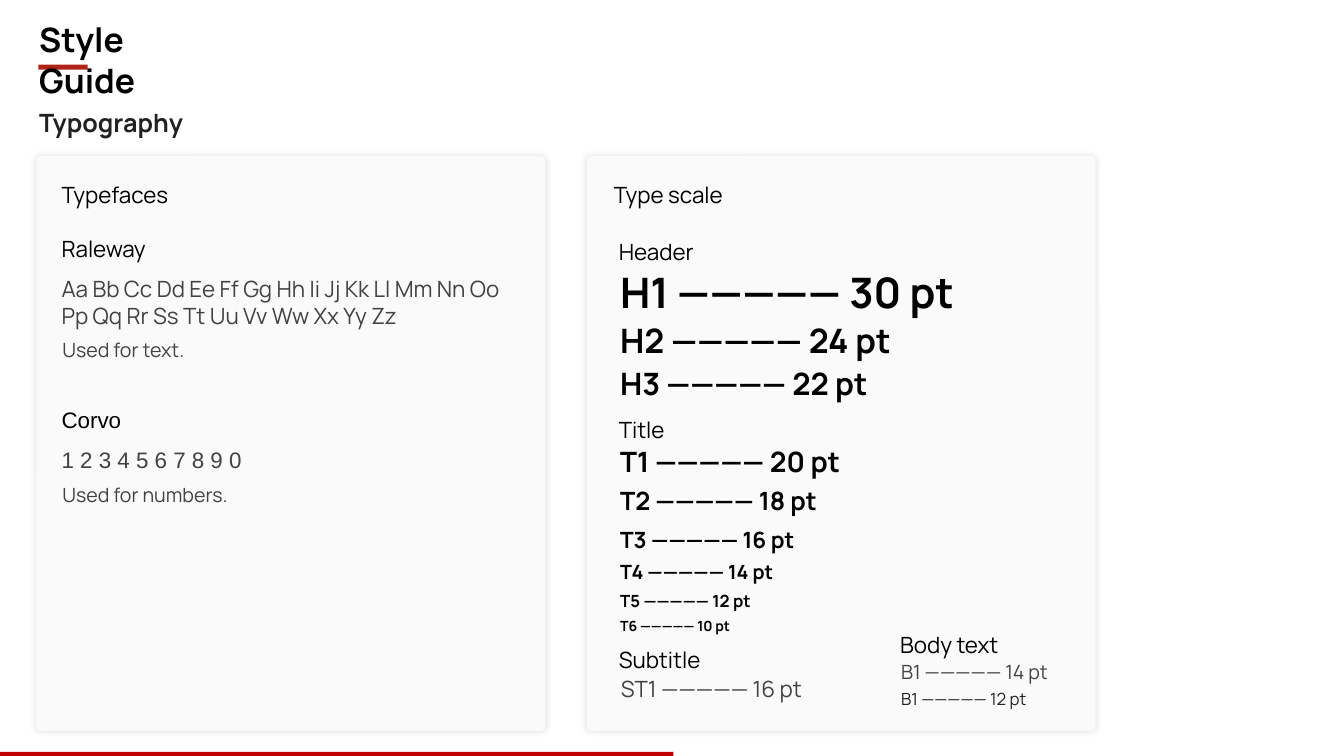
from lxml.etree import SubElement
from pptx import Presentation
from pptx.dml.color import RGBColor
from pptx.enum.shapes import MSO_SHAPE
from pptx.oxml.ns import qn
from pptx.util import Pt

BLACK = RGBColor(0x00, 0x00, 0x00)
CHARCOAL = RGBColor(0x21, 0x21, 0x21)
GRAY = RGBColor(0x42, 0x42, 0x42)
PANEL = RGBColor(0xFA, 0xFA, 0xFA)
BRICK = RGBColor(0xB0, 0x24, 0x18)
RED = RGBColor(0xC0, 0x00, 0x00)

presentation = Presentation()
presentation.slide_width = Pt(960)
presentation.slide_height = Pt(540)
slide = presentation.slides.add_slide(presentation.slide_layouts[6])


def add_block(kind, left, top, width, height, color):
    block = slide.shapes.add_shape(kind, Pt(left), Pt(top), Pt(width), Pt(height))
    block.shadow.inherit = False
    block.fill.solid()
    block.fill.fore_color.rgb = color
    block.line.fill.background()
    return block


def add_label(text, left, top, width, size, color=BLACK, bold=False, font="Manrope"):
    label = slide.shapes.add_textbox(Pt(left), Pt(top), Pt(width), Pt(size * 1.17))
    frame = label.text_frame
    frame.word_wrap = True
    frame.margin_left = frame.margin_right = 0
    frame.margin_top = frame.margin_bottom = 0
    paragraph = frame.paragraphs[0]
    paragraph.text = text
    paragraph.font.name = font
    paragraph.font.size = Pt(size)
    paragraph.font.bold = bold
    paragraph.font.color.rgb = color


for panel_left in (419, 25.9):
    panel = add_block(MSO_SHAPE.ROUNDED_RECTANGLE, panel_left, 111.6, 363.6, 410.4, PANEL)
    panel.adjustments[0] = 0.008
    effects = panel._element.spPr.find(qn("a:effectLst"))
    glow = SubElement(effects, qn("a:outerShdw"), blurRad=str(Pt(5)), dist="0",
                      dir="5400000", algn="t", rotWithShape="0")
    glow_color = SubElement(glow, qn("a:srgbClr"), val="000000")
    SubElement(glow_color, qn("a:alpha"), val="13000")

add_block(MSO_SHAPE.RECTANGLE, 27.4, 46.1, 35.3, 3.6, BRICK)
add_block(MSO_SHAPE.RECTANGLE, 0, 537.1, 481, 2.9, RED)

add_label("Style Guide", 28, 13.7, 120, 24, bold=True)
add_label("Typography", 28, 76.3, 120, 18, CHARCOAL, bold=True)
add_label("Typefaces", 44, 129.6, 100, 16)
add_label("Type scale", 438.5, 129.6, 100, 16)

typefaces = [
    ("Raleway", "Manrope", 167.8, 28.8,
     "Aa Bb Cc Dd Ee Ff Gg Hh Ii Jj Kk Ll Mm Nn Oo Pp Qq Rr Ss Tt Uu Vv Ww Xx Yy Zz",
     "Used for text.", 241.2),
    ("Corvo", "Arial", 290.2, 28.8, "1 2 3 4 5 6 7 8 9 0", "Used for numbers.", 344.9),
]
for name, font, top, sample_gap, sample, usage, usage_top in typefaces:
    add_label(name, 44, top, 166, 16, font=font)
    add_label(sample, 44, top + sample_gap, 317, 16, GRAY, font=font)
    add_label(usage, 44.5, usage_top, 156, 14, GRAY)

for heading, left, top in [("Header", 442, 169.9), ("Title", 442, 297.4),
                           ("Subtitle", 442, 461.5), ("Body text", 643, 450.7)]:
    add_label(heading, left, top, 166, 16)

bold_scale = [
    ("H1", 30, 190.1), ("H2", 24, 228.2), ("H3", 22, 260.6),
    ("T1", 20, 317.5), ("T2", 18, 347), ("T3", 16, 375.8),
    ("T4", 14, 400.3), ("T5", 12, 421.9), ("T6", 10, 441.4),
]
for style, size, top in bold_scale:
    add_label(f"{style} ————— {size} pt", 443, top, 297, size, bold=True)

regular_scale = [
    ("ST1", 16, 443.5, 482.4, GRAY),
    ("B1", 14, 643.7, 471.6, GRAY),
    ("B1", 12, 643.7, 491.8, CHARCOAL),
]
for style, size, left, top, color in regular_scale:
    add_label(f"{style} ————— {size} pt", left, top, 164, size, color)

presentation.save("out.pptx")
